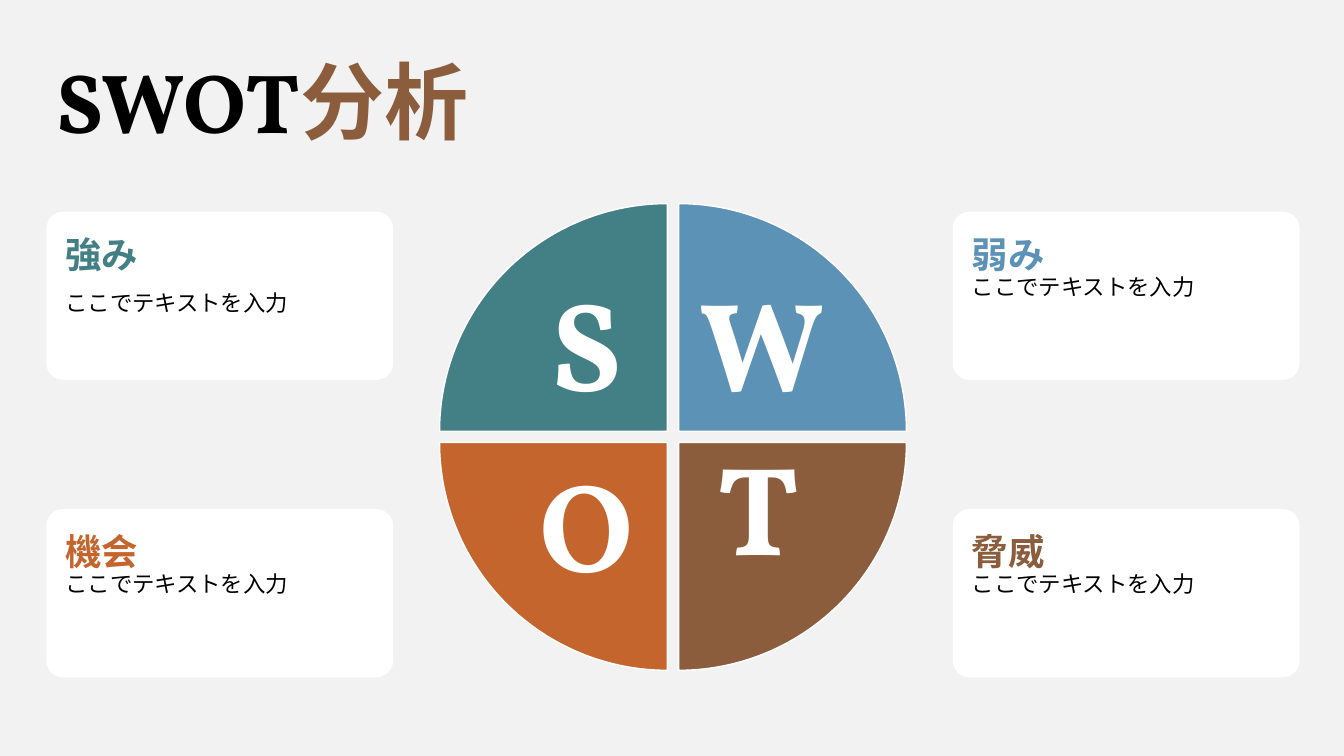
"""Build a SWOT analysis slide: four cards around a divided circle."""
from dataclasses import dataclass

from pptx import Presentation
from pptx.dml.color import RGBColor
from pptx.enum import shapes, text
from pptx.util import Inches, Pt


@dataclass(frozen=True)
class Theme:
    """Colours, fonts and type sizes."""
    background: str = "F2F2F2"
    card: str = "FFFFFF"
    ink: str = "000000"
    strength: str = "438086"
    weakness: str = "5C92B5"
    opportunity: str = "C4652D"
    threat: str = "8B5D3D"
    heading_font: str = "Vollkorn"
    body_font: str = "Open Sans"
    title_size: int = 60
    letter_size: int = 90
    heading_size: int = 26
    body_size: int = 16
    line_spacing: float = 0.9


@dataclass(frozen=True)
class Grid:
    """Evenly stepped cells, measured in inches."""
    left: float
    top: float
    width: float
    height: float
    step_x: float
    step_y: float

    def cell(self, col, row):
        """Return left, top, width and height of a cell."""
        return [Inches(v) for v in (self.left + col * self.step_x,
                                    self.top + row * self.step_y,
                                    self.width, self.height)]


THEME = Theme()
TITLE = Grid(0.46, 0.55, 10.01, 1, 0, 0)
CARDS = Grid(0.46, 2.1, 3.44, 1.67, 8.99, 2.95)
WEDGES = Grid(4.36, 2.02, 2.26, 2.26, 2.37, 2.37)
PROMPT = "ここでテキストを入力"

QUADRANTS = [
    ("S", "強み", THEME.strength, 0, 0, 11.3),
    ("W", "弱み", THEME.weakness, 1, 0, 0),
    ("T", "脅威", THEME.threat, 1, 1, 0),
    ("O", "機会", THEME.opportunity, 0, 1, 0),
]
WEDGE_TEXT = [
    (text.MSO_ANCHOR.MIDDLE, {}),
    (text.MSO_ANCHOR.MIDDLE, {"vert": "vert270"}),
    (text.MSO_ANCHOR.BOTTOM, {"rot": "10800000"}),
    (text.MSO_ANCHOR.TOP, {"vert": "vert"}),
]


def rgb(value):
    """Turn a hex string into a colour."""
    return RGBColor.from_string(value)


def style(p, size, color, font=THEME.heading_font, bold=True,
          align=text.PP_ALIGN.LEFT, before=0):
    """Format a whole paragraph."""
    p.alignment = align
    p.line_spacing = THEME.line_spacing
    if before:
        p.space_before = Pt(before)
    p.font.size, p.font.name, p.font.bold = Pt(size), font, bold
    p.font.color.rgb = rgb(color)


def add_panel(parent, kind, box, fill, inset_x, inset_y, anchor):
    """Add a filled, unshadowed shape ready for text."""
    sp = parent.add_shape(kind, *box)
    sp.shadow.inherit = False
    sp.fill.solid()
    sp.fill.fore_color.rgb = rgb(fill)
    sp.line.fill.background()
    tf = sp.text_frame
    tf.word_wrap = True
    tf.vertical_anchor = anchor
    tf.margin_left = tf.margin_right = Inches(inset_x)
    tf.margin_top = tf.margin_bottom = Inches(inset_y)
    return sp


def add_title(slide):
    """Add the two-colour title."""
    sp = slide.shapes.add_textbox(*TITLE.cell(0, 0))
    tf = sp.text_frame
    tf.word_wrap = True
    tf.vertical_anchor = text.MSO_ANCHOR.MIDDLE
    p = tf.paragraphs[0]
    style(p, THEME.title_size, THEME.ink)
    p.add_run().text = "SWOT"
    r = p.add_run()
    r.text = "分析"
    r.font.color.rgb = rgb(THEME.threat)


def add_card(slide, heading, color, col, row, gap):
    """Add a rounded card with a heading and a line of body text."""
    sp = add_panel(slide.shapes, shapes.MSO_SHAPE.ROUNDED_RECTANGLE,
                   CARDS.cell(col, row), THEME.card, 0.14, 0.2,
                   text.MSO_ANCHOR.TOP)
    sp.adjustments[0] = 0.1
    p = sp.text_frame.paragraphs[0]
    p.text = heading
    style(p, THEME.heading_size, color)
    p = sp.text_frame.add_paragraph()
    p.text = PROMPT
    style(p, THEME.body_size, THEME.ink, THEME.body_font, False, before=gap)


def add_wedge(group, letter, color, col, row, turns, anchor, direction):
    """Add a quarter of the circle with an upright letter."""
    sp = add_panel(group.shapes, shapes.MSO_SHAPE.PIE_WEDGE,
                   WEDGES.cell(col, row), color, 0.21, 0.21, anchor)
    sp.rotation = 90 * turns
    sp.line.color.rgb = rgb(THEME.card)
    sp.line.width = Pt(1)
    body = sp.text_frame._txBody.bodyPr
    for name, value in direction.items():
        body.set(name, value)
    p = sp.text_frame.paragraphs[0]
    p.text = letter
    style(p, THEME.letter_size, THEME.card, align=text.PP_ALIGN.CENTER)


def main():
    """Build and save the slide."""
    prs = Presentation()
    prs.slide_width, prs.slide_height = Inches(13.33), Inches(7.5)
    slide = prs.slides.add_slide(prs.slide_layouts[6])
    slide.background.fill.solid()
    slide.background.fill.fore_color.rgb = rgb(THEME.background)
    add_title(slide)
    for _, heading, color, col, row, gap in QUADRANTS:
        add_card(slide, heading, color, col, row, gap)
    group = slide.shapes.add_group_shape()
    for turns, (quadrant, placing) in enumerate(zip(QUADRANTS, WEDGE_TEXT)):
        letter, _, color, col, row, _ = quadrant
        add_wedge(group, letter, color, col, row, turns, *placing)
    prs.save("out.pptx")


if __name__ == "__main__":
    main()
